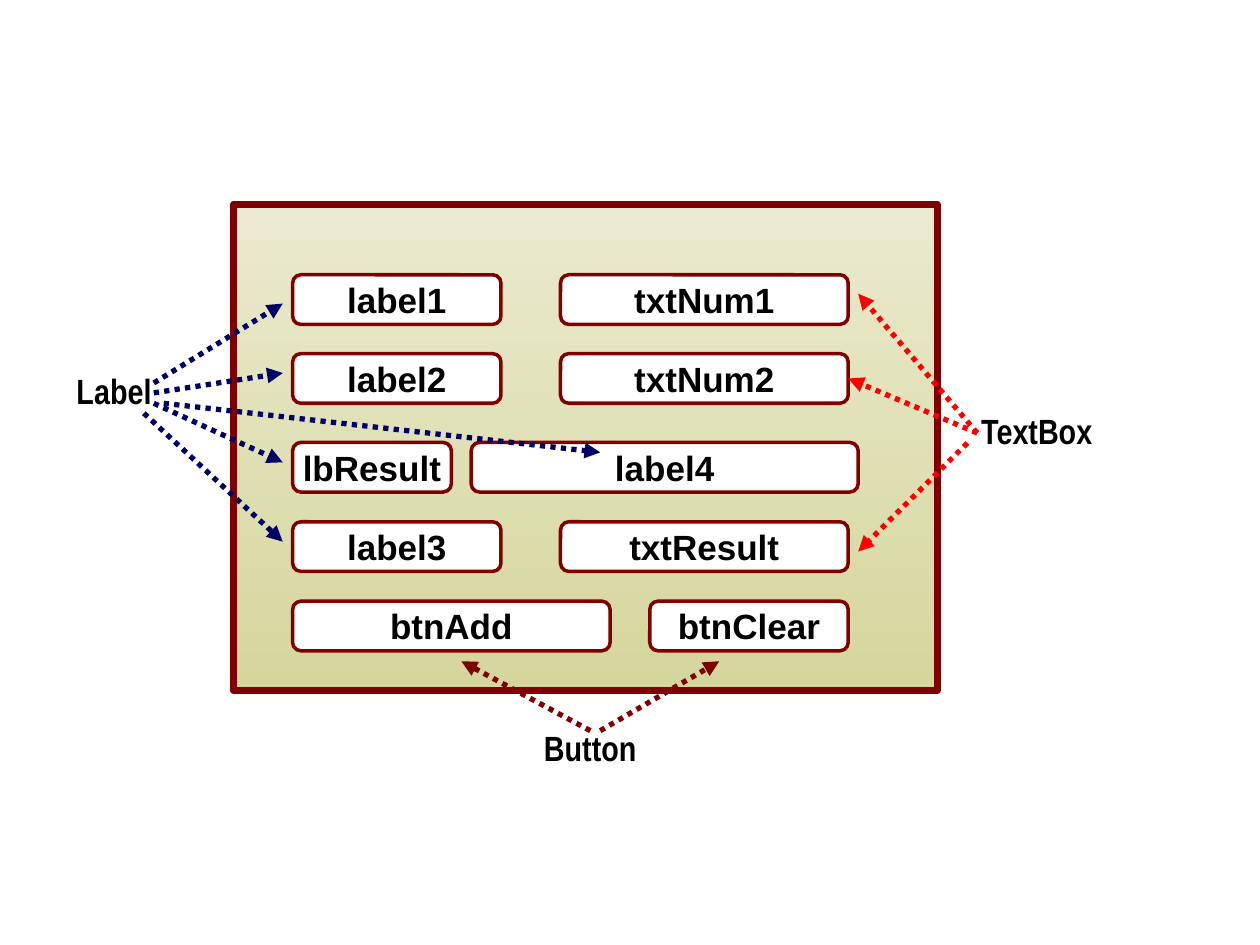
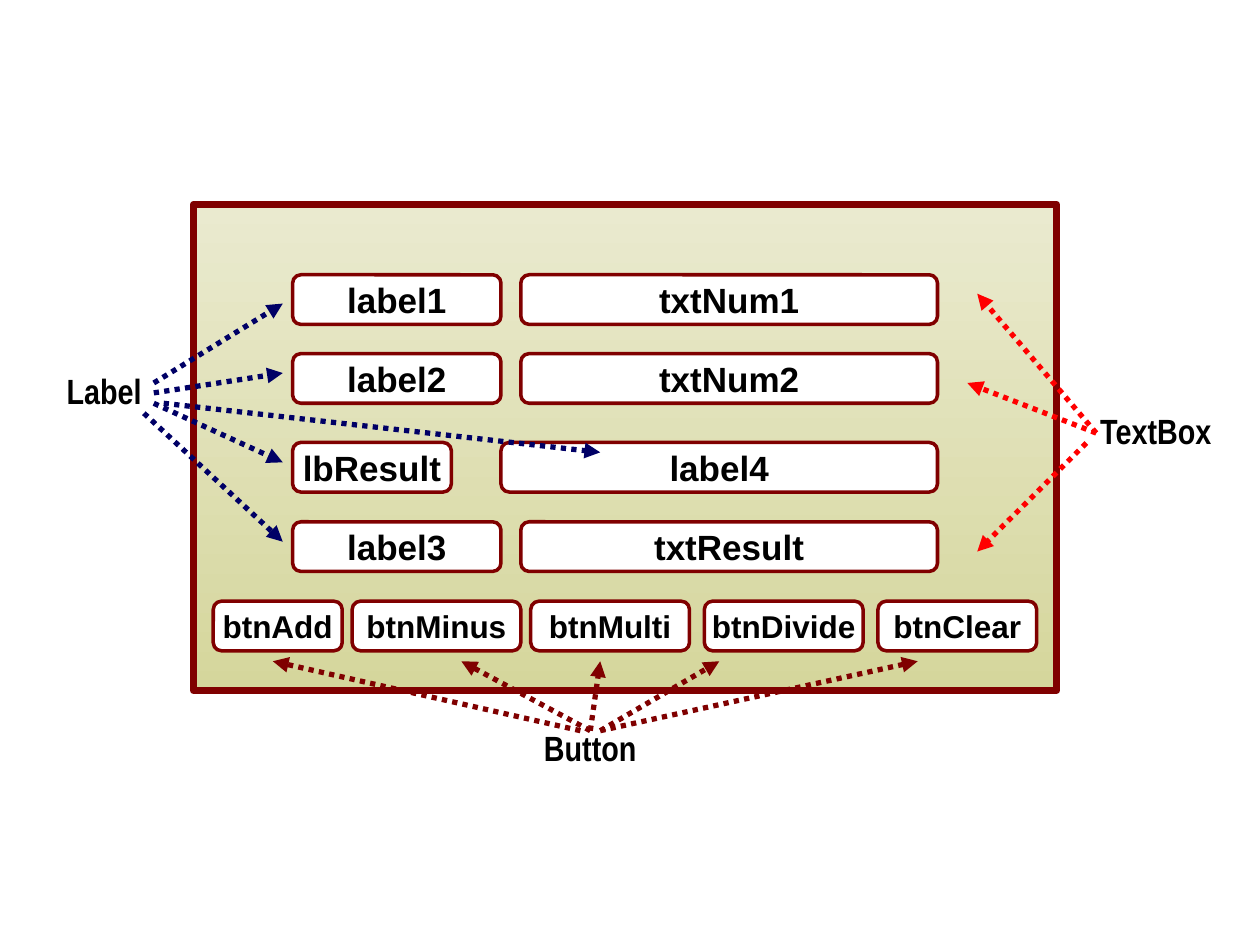
from lxml.etree import SubElement
from pptx import Presentation
from pptx.dml.color import RGBColor
from pptx.enum.dml import MSO_LINE
from pptx.enum.shapes import MSO_CONNECTOR, MSO_SHAPE
from pptx.enum.text import MSO_ANCHOR, MSO_AUTO_SIZE, PP_ALIGN
from pptx.oxml.ns import qn
from pptx.util import Cm, Pt

MAROON, NAVY, RED = "800000", "000066", "FF0000"
WHITE, BLACK = "FFFFFF", "000000"
FORM_GRADIENT = ("EAEACF", "D5D69C")

FORM_TOP, FORM_HEIGHT = 4.12, 9.8
ROW_TOPS = (5.54, 7.13, 8.92, 10.52, 12.12)
FIELD_HEIGHT = 1
LABEL_LEFT = 5.9
RIGHT_SIDE = 3

# Each arrow: start x, start y, end x, end y
LABEL_ARROWS = (
    (3.1, 7.72, 5.7, 6.12),
    (3.1, 7.92, 5.7, 7.52),
    (3.1, 8.13, 5.7, 9.32),
    (2.9, 8.33, 5.7, 10.92),
    (3.3, 8.13, 12.1, 9.12),
)

# Lengths in cm; buttons are (name, left, width), button arrows (start x, end x)
FORMS = (
    {
        "frame": (4.7, 14.2),
        "label_caption": (0.9, 2.8),
        "result": (9.5, 7.8),
        "entry": (11.3, 5.8),
        "buttons": (("btnAdd", 5.9, 6.4), ("btnClear", 13.1, 4)),
        "button_size": 20,
        "button_arrows": ((11.9, 9.3), (12.1, 14.5)),
        "textbox_left": 19.5,
    },
    {
        "frame": (3.9, 17.4),
        "label_caption": (0.5, 3.2),
        "result": (10.1, 8.8),
        "entry": (10.5, 8.4),
        "buttons": (
            ("btnAdd", 4.3, 2.6),
            ("btnMinus", 7.1, 3.4),
            ("btnMulti", 10.7, 3.2),
            ("btnDivide", 14.2, 3.2),
            ("btnClear", 17.7, 3.2),
        ),
        "button_size": 18,
        "button_arrows": (
            (11.9, 9.3), (12.1, 14.5), (12.1, 18.5), (11.7, 5.5), (11.9, 12.1),
        ),
        "textbox_left": 21.9,
    },
)


def color(value):
    return RGBColor.from_string(value)


def apply(target, values):
    for name, value in values.items():
        setattr(target, name, value)


class FormDiagram:
    """Draws the parts of a form layout on the current slide."""

    def __init__(self, deck):
        self.deck = deck
        self.page = None

    def new_page(self):
        self.page = self.deck.slides.add_slide(self.deck.slide_layouts[6])

    def outlined_shape(self, kind, left, top, width, height, line_width):
        shape = self.page.shapes.add_shape(
            kind, Cm(left), Cm(top), Cm(width), Cm(height))
        shape.shadow.inherit = False
        shape.line.color.rgb = color(MAROON)
        shape.line.width = Pt(line_width)
        return shape

    def add_text(self, shape, text, font, size):
        paragraph = shape.text_frame.paragraphs[0]
        paragraph.alignment = PP_ALIGN.CENTER
        span = paragraph.add_run()
        span.text = text
        apply(span.font, {"name": font, "size": Pt(size), "bold": True})
        span.font.color.rgb = color(BLACK)

    def frame(self, left, width):
        shape = self.outlined_shape(
            MSO_SHAPE.RECTANGLE, left, FORM_TOP, width, FORM_HEIGHT, 4)
        shape.fill.gradient()
        shape.fill.gradient_angle = 270
        for stop, shade in zip(shape.fill.gradient_stops, FORM_GRADIENT):
            stop.color.rgb = color(shade)

    def field(self, text, row, left, width, size=20):
        box = self.outlined_shape(
            MSO_SHAPE.ROUNDED_RECTANGLE, left, ROW_TOPS[row], width, FIELD_HEIGHT, 2)
        box.fill.solid()
        box.fill.fore_color.rgb = color(WHITE)
        apply(box.text_frame, {"word_wrap": False,
                               "vertical_anchor": MSO_ANCHOR.MIDDLE})
        self.add_text(box, text, "Arial", size)
        return box

    def caption(self, text, left, top, width=2.8):
        box = self.page.shapes.add_textbox(Cm(left), Cm(top), Cm(width), Cm(1.12))
        box.fill.solid()
        box.fill.fore_color.rgb = color(WHITE)
        apply(box.text_frame, {"word_wrap": True,
                               "auto_size": MSO_AUTO_SIZE.SHAPE_TO_FIT_TEXT})
        self.add_text(box, text, "Arial Narrow", 20)

    def arrow(self, points, shade):
        connector = self.page.shapes.add_connector(
            MSO_CONNECTOR.STRAIGHT, *(Cm(point) for point in points))
        connector.line.color.rgb = color(shade)
        apply(connector.line, {"width": Pt(3), "dash_style": MSO_LINE.ROUND_DOT})
        properties = connector._element.spPr
        SubElement(properties.find(qn("a:ln")), qn("a:tailEnd"), type="triangle")
        SubElement(properties, qn("a:effectLst"))
        return connector


def draw_form(diagram, form):
    diagram.new_page()
    diagram.frame(*form["frame"])

    for row, name in ((0, "label1"), (1, "label2"), (3, "label3")):
        diagram.field(name, row, LABEL_LEFT, 4.2)
    diagram.field("lbResult", 2, LABEL_LEFT, 3.2)
    diagram.field("label4", 2, *form["result"])
    entries = [diagram.field(name, row, *form["entry"])
               for row, name in ((0, "txtNum1"), (1, "txtNum2"), (3, "txtResult"))]
    for name, left, width in form["buttons"]:
        diagram.field(name, 4, left, width, form["button_size"])

    left, width = form["label_caption"]
    diagram.caption("Label", left, 7.32, width)
    for points in LABEL_ARROWS:
        diagram.arrow(points, NAVY)

    diagram.caption("Button", 10.5, 14.53)
    for start, end in form["button_arrows"]:
        diagram.arrow((start, 14.73, end, 13.33), MAROON)

    left = form["textbox_left"]
    diagram.caption("TextBox", left, 8.13)
    diagram.arrow((left + 0.2, 8.73, left - 2.2, 5.92), RED)
    middle = diagram.arrow((left + 0.2, 8.73, left - 2.4, 7.72), RED)
    diagram.arrow((left, 8.93, left - 2.2, 11.12), RED)
    entry_right = sum(form["entry"])
    if abs(entry_right - (left - 2.4)) < 0.1:
        middle.end_connect(entries[1], RIGHT_SIDE)


def main():
    deck = Presentation()
    apply(deck, {"slide_width": Cm(25.4), "slide_height": Cm(19.05)})
    diagram = FormDiagram(deck)
    for form in FORMS:
        draw_form(diagram, form)
    deck.save("out.pptx")


if __name__ == "__main__":
    main()
